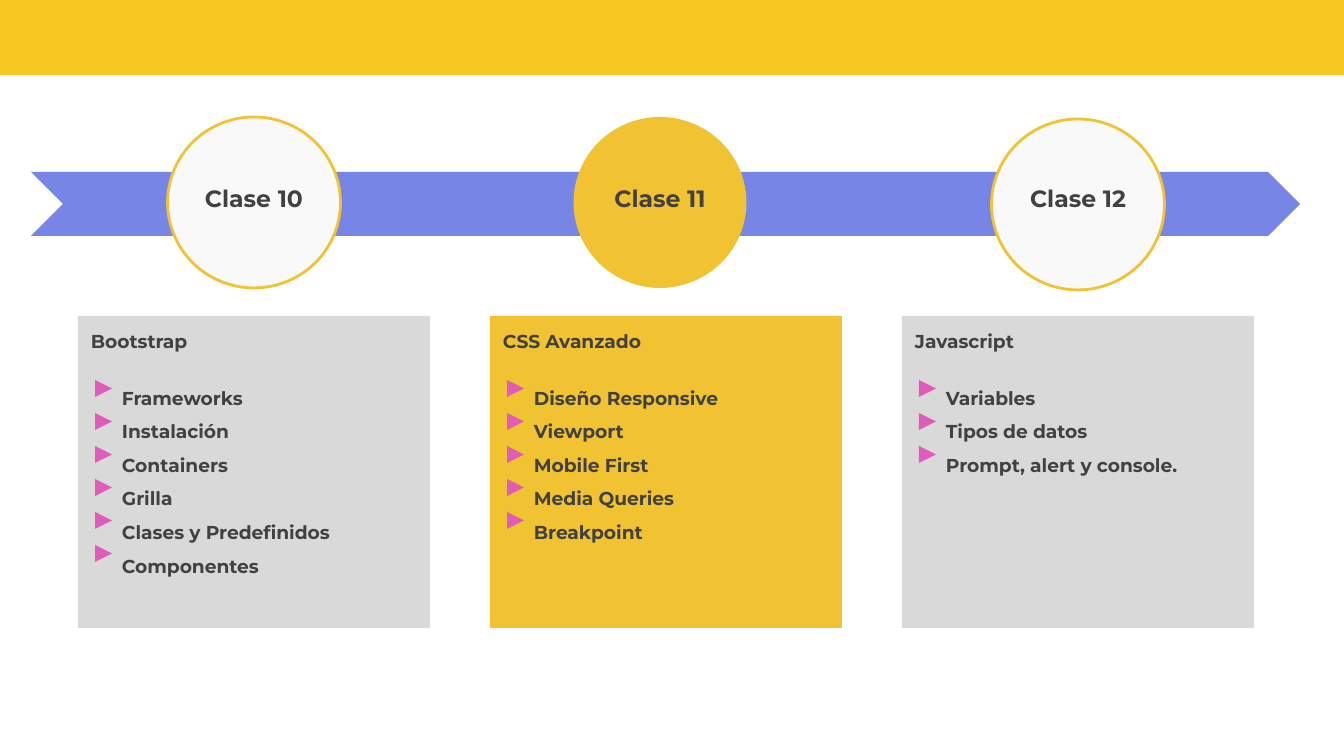
import dataclasses

import pptx
import pptx.dml.color
import pptx.enum.shapes
import pptx.enum.text
import pptx.util

SHAPE = pptx.enum.shapes.MSO_SHAPE
ALIGN = pptx.enum.text.PP_ALIGN
SLIDE_W, SLIDE_H = 1344, 756
SCALE = 9144000 / SLIDE_W


@dataclasses.dataclass(frozen=True)
class Theme:
    """Colours, font and type sizes of the slide."""
    font: str = "Montserrat"
    label_size: float = 12.6
    card_size: float = 10
    text: str = "414141"
    banner: str = "F8C823"
    arrow: str = "7685E6"
    accent: str = "F1C232"
    pale: str = "F9F9F9"
    card: str = "D9D9D9"
    marker: str = "E15BBA"


THEME = Theme()
CLASSES = [
    ("Clase 10", 223, -55),
    ("Clase 11", 629, -55),
    ("Clase 12", 1047, -53),
]
CARDS = [
    ("Bootstrap", ["Frameworks", "Instalación", "Containers", "Grilla",
                   "Clases y Predefinidos", "Componentes"]),
    ("CSS Avanzado", ["Diseño Responsive", "Viewport", "Mobile First",
                      "Media Queries", "Breakpoint"]),
    ("Javascript", ["Variables", "Tipos de datos", "Prompt, alert y console."]),
]
CURRENT = 1


def emu(px):
    """Turn px into EMU."""
    return pptx.util.Emu(round(px * SCALE))


def rgb(value):
    """Turn a hex string into a colour."""
    return pptx.dml.color.RGBColor.from_string(value)


def add_shape(s, kind, box, fill, line=None):
    """Add a flat preset shape."""
    sp = s.shapes.add_shape(kind, *map(emu, box))
    sp.shadow.inherit = False
    sp.fill.solid()
    sp.fill.fore_color.rgb = rgb(fill)
    if line:
        sp.line.color.rgb = rgb(line)
        sp.line.width = pptx.util.Pt(1.5)
    else:
        sp.line.fill.background()
    return sp


def write(sp, lines, size, align):
    """Fill a text shape with paragraphs in the slide's style."""
    tf = sp.text_frame
    tf.text = "\n".join(lines)
    tf.word_wrap = True
    tf.auto_size = pptx.enum.text.MSO_AUTO_SIZE.NONE
    tf.vertical_anchor = pptx.enum.text.MSO_ANCHOR.TOP
    tf.margin_left = tf.margin_right = tf.margin_top = tf.margin_bottom = emu(13)
    for p in tf.paragraphs:
        p.alignment = align
        for r in p.runs:
            r.font.name = THEME.font
            r.font.size = pptx.util.Pt(size)
            r.font.bold = True
            r.font.color.rgb = rgb(THEME.text)
    return tf


def add_timeline(s, x, y, w, h):
    """Draw the arrow with one labelled circle for each class."""
    add_shape(s, SHAPE.CHEVRON, (x, y, w, h), THEME.arrow)
    circle_w, circle_h, label_w, label_h = 173, 171, 160, 44
    for i, (name, dx, dy) in enumerate(CLASSES):
        current = i == CURRENT
        add_shape(s, SHAPE.OVAL, (x + dx - circle_w / 2, y + dy, circle_w, circle_h),
                  THEME.accent if current else THEME.pale,
                  None if current else THEME.accent)
        box = [emu(v) for v in (x + dx - label_w / 2, y - 1, label_w, label_h)]
        if current:
            sp = s.shapes.title
            sp.left, sp.top, sp.width, sp.height = box
            sp.element.getparent().append(sp.element)
        else:
            sp = s.shapes.add_textbox(*box)
        write(sp, [name], THEME.label_size, ALIGN.CENTER)


def add_card(s, x, y, w, h, heading, topics, fill):
    """Draw a card with a heading and its marked topics."""
    add_shape(s, SHAPE.RECTANGLE, (x, y, w, h), fill)
    sp = s.shapes.add_textbox(*map(emu, (x, y + 1, w, h)))
    tf = write(sp, [heading, *topics], THEME.card_size, ALIGN.LEFT)
    for i, p in enumerate(tf.paragraphs[1:]):
        p.line_spacing = 1.5
        p.space_before = pptx.util.Pt(0 if i else 12.2)
        p._p.get_or_add_pPr().set("marL", str(emu(31)))
        marker = add_shape(s, SHAPE.ISOSCELES_TRIANGLE,
                           (x + 17, y + 64 + 33 * i, 17, 17), THEME.marker)
        marker.rotation = 90


def main():
    """Build and save the slide."""
    prs = pptx.Presentation()
    prs.slide_width, prs.slide_height = emu(SLIDE_W), emu(SLIDE_H)
    s = prs.slides.add_slide(prs.slide_layouts[5])
    add_shape(s, SHAPE.RECTANGLE, (0, 0, SLIDE_W, 75), THEME.banner)
    add_timeline(s, 31, 172, 1269, 64)
    for i, (heading, topics) in enumerate(CARDS):
        fill = THEME.accent if i == CURRENT else THEME.card
        add_card(s, 78 + 412 * i, 316, 352, 312, heading, topics, fill)
    prs.save("out.pptx")


if __name__ == "__main__":
    main()
